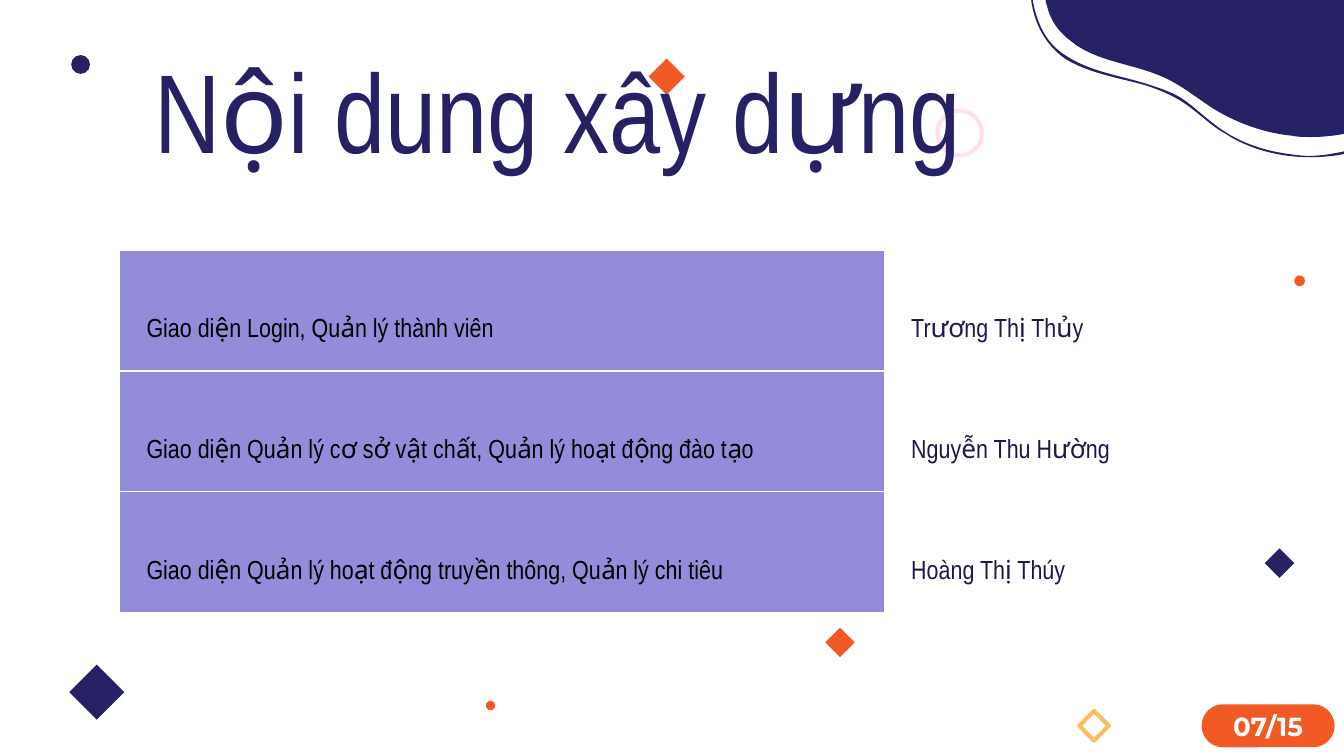
from dataclasses import dataclass
from typing import NamedTuple

from lxml import etree
from pptx import Presentation
from pptx.dml.color import RGBColor
from pptx.enum.lang import MSO_LANGUAGE_ID
from pptx.enum.shapes import MSO_SHAPE
from pptx.enum.text import MSO_ANCHOR, PP_ALIGN
from pptx.oxml.ns import qn
from pptx.util import Inches, Pt


@dataclass(frozen=True)
class Theme:
    navy: str = "262065"
    orange: str = "F15A24"
    amber: str = "FFBC5E"
    pink: str = "FFE1ED"
    lilac: str = "938CDB"
    white: str = "FFFFFF"
    black: str = "000000"
    ink: str = "1D184C"
    body_font: str = "Arial Narrow"
    badge_font: str = "Montserrat"
    title_size: int = 60
    body_size: int = 14
    body_leading: int = 35
    outline: float = 2.25
    rule: float = 0.75


class Box(NamedTuple):
    left: float
    top: float
    width: float
    height: float

    def emu(self):
        return [Inches(length) for length in self]


THEME = Theme()
PAGE = Box(0, 0, 10, 10 * 9 / 16)
CORNER = Box(7.67, -0.02, 2.36, 1.19)
TITLE = Box(0.52, -0.24, 6.73, 2.1)
TASK_TABLE = Box(0.89, 1.86, 8.23, 2.7)
BADGE = Box(8.94, 5.24, 0.99, 0.32)

TASK_COLUMNS = (5.69, 2.54)
CELL_INSET = 0.2
TITLE_INSET = 0.1
TASKS = [
    ("Giao diện Login, Quản lý thành viên", "Trương Thị Thủy"),
    ("Giao diện Quản lý cơ sở vật chất, Quản lý hoạt động đào tạo", "Nguyễn Thu Hường"),
    ("Giao diện Quản lý hoạt động truyền thông, Quản lý chi tiêu", "Hoàng Thị Thúy"),
]

# Form, centre in inches from the page corner, size, colour, filled or outlined
DIAMOND, DOT = MSO_SHAPE.DIAMOND, MSO_SHAPE.OVAL
CONFETTI = [
    (DOT, 3.65, 5.25, 0.07, THEME.orange, True),
    (DIAMOND, 4.96, 0.57, 0.27, THEME.orange, True),
    (DIAMOND, 8.14, 5.4, 0.22, THEME.amber, False),
    (DOT, 9.67, 2.09, 0.08, THEME.orange, True),
    (DIAMOND, 0.72, 5.15, 0.41, THEME.navy, True),
    (DIAMOND, 6.25, 4.78, 0.22, THEME.orange, True),
    (DOT, 0.6, 0.48, 0.14, THEME.navy, True),
    (DOT, 7.14, 0.99, 0.33, THEME.pink, False),
    (DIAMOND, 9.52, 4.19, 0.22, THEME.navy, True),
]

# Bezier chains in inches from the corner box: a start, then three points a curve
BLOB_EDGE = [
    (2.36, 1.01), (2.27, 1.03), (2.18, 1.04), (2.08, 1.04), (2.03, 1.04), (1.99, 1.04),
    (1.94, 1.03), (1.74, 1.01), (1.54, 0.94), (1.36, 0.83), (1.25, 0.76), (1.14, 0.67),
    (1.02, 0.61), (0.78, 0.49), (0.49, 0.49), (0.29, 0.32), (0.2, 0.25), (0.14, 0.16),
    (0.12, 0.06), (0.11, 0.04), (0.11, 0.02), (0.11, 0),
]
WAVE_INNER = [
    (0.01, 0), (0.04, 0.17), (0.1, 0.34), (0.27, 0.44), (0.44, 0.55), (0.65, 0.58),
    (0.85, 0.64), (0.94, 0.67), (1.04, 0.7), (1.12, 0.75), (1.21, 0.81), (1.28, 0.88),
    (1.36, 0.94), (1.51, 1.06), (1.69, 1.13), (1.88, 1.16), (1.95, 1.17), (2.01, 1.18),
    (2.07, 1.18), (2.17, 1.18), (2.27, 1.16), (2.36, 1.14),
]
WAVE_OUTER = [
    (2.36, 1.16), (2.27, 1.18), (2.17, 1.19), (2.08, 1.19), (1.85, 1.19), (1.62, 1.13),
    (1.44, 1.01), (1.35, 0.96), (1.28, 0.89), (1.2, 0.83), (1.1, 0.75), (0.99, 0.7),
    (0.87, 0.66), (0.67, 0.6), (0.44, 0.57), (0.26, 0.46), (0.1, 0.35), (0.02, 0.18), (0, 0),
]


def rgb(colour):
    return RGBColor.from_string(colour)


def paint(shape, colour, filled=True):
    shape.shadow.inherit = False
    if filled:
        shape.fill.solid()
        shape.fill.fore_color.rgb = rgb(colour)
        shape.line.fill.background()
    else:
        shape.fill.background()
        shape.line.color.rgb = rgb(colour)
        shape.line.width = Pt(THEME.outline)


def set_format(target, **values):
    for key, value in values.items():
        setattr(target, key, value)


def set_inset(target, inset):
    """Centre text vertically with the same margin on every side."""
    sides = {f"margin_{side}": Inches(inset) for side in ("left", "top", "right", "bottom")}
    set_format(target, vertical_anchor=MSO_ANCHOR.MIDDLE, **sides)


def write(frame, text, colour, align=PP_ALIGN.LEFT, leading=None, **font):
    """Set one paragraph; font holds size, name and bold."""
    paragraph = frame.paragraphs[0]
    set_format(paragraph, alignment=align, line_spacing=leading)
    run = paragraph.add_run()
    run.text = text
    run.font.color.rgb = rgb(colour)
    set_format(run.font, language_id=MSO_LANGUAGE_ID.VIETNAMESE, **font)


def sample(chain, steps=12):
    """Turn a Bezier chain into points along it."""
    points = [chain[0]]
    for i in range(0, len(chain) - 1, 3):
        for step in range(1, steps + 1):
            t = step / steps
            weights = ((1 - t) ** 3, 3 * t * (1 - t) ** 2, 3 * t * t * (1 - t), t ** 3)
            points.append(tuple(
                sum(w * p[axis] for w, p in zip(weights, chain[i:i + 4])) for axis in (0, 1)))
    return points


def add_confetti(slide, box):
    for form, x, y, size, colour, filled in CONFETTI:
        place = Box(box.left + x - size / 2, box.top + y - size / 2, size, size)
        paint(slide.shapes.add_shape(form, *place.emu()), colour, filled)


def add_corner_wave(slide, box):
    blob = [(box.width, 0)] + sample(BLOB_EDGE)
    wave = sample(WAVE_INNER) + sample(WAVE_OUTER)
    for outline in (blob, wave):
        points = [(Inches(box.left + x), Inches(box.top + y)) for x, y in outline]
        builder = slide.shapes.build_freeform(*points[0])
        builder.add_line_segments(points[1:], close=True)
        paint(builder.convert_to_shape(), THEME.navy)


def add_badge(slide, box, text):
    badge = slide.shapes.add_shape(MSO_SHAPE.ROUNDED_RECTANGLE, *box.emu())
    badge.adjustments[0] = 0.5
    paint(badge, THEME.orange)
    badge.text_frame.vertical_anchor = MSO_ANCHOR.MIDDLE
    write(badge.text_frame, text, THEME.white, PP_ALIGN.CENTER,
          size=Pt(THEME.body_size), name=THEME.badge_font, bold=True)


def add_title(slide, box, text):
    frame = slide.shapes.add_textbox(*box.emu()).text_frame
    frame.word_wrap = True
    set_inset(frame, TITLE_INSET)
    write(frame, text, THEME.navy, PP_ALIGN.RIGHT,
          size=Pt(THEME.title_size), name=THEME.body_font)


def add_borders(cell):
    properties = cell._tc.get_or_add_tcPr()
    for side in ("a:lnL", "a:lnR", "a:lnT", "a:lnB"):
        line = etree.SubElement(properties, qn(side), w=str(Pt(THEME.rule)))
        fill = etree.SubElement(line, qn("a:solidFill"))
        etree.SubElement(fill, qn("a:srgbClr"), val=THEME.white)


def add_task_table(slide, box, tasks):
    table = slide.shapes.add_table(len(tasks), len(TASK_COLUMNS), *box.emu()).table
    set_format(table, first_row=False, horz_banding=False)
    for column, width in zip(table.columns, TASK_COLUMNS):
        column.width = Inches(box.width * width / sum(TASK_COLUMNS))
    for row, task in zip(table.rows, tasks):
        row.height = Inches(box.height / len(tasks))
        for cell, text, colour, fill in zip(
                row.cells, task, (THEME.black, THEME.ink), (THEME.lilac, None)):
            set_inset(cell, CELL_INSET)
            add_borders(cell)
            if fill:
                cell.fill.solid()
                cell.fill.fore_color.rgb = rgb(fill)
            else:
                cell.fill.background()
            write(cell.text_frame, text, colour, leading=Pt(THEME.body_leading),
                  size=Pt(THEME.body_size), name=THEME.body_font)


def main():
    deck = Presentation()
    set_format(deck, slide_width=Inches(PAGE.width), slide_height=Inches(PAGE.height))
    slide = deck.slides.add_slide(deck.slide_layouts[6])
    add_confetti(slide, PAGE)
    add_corner_wave(slide, CORNER)
    add_badge(slide, BADGE, "07/15")
    add_title(slide, TITLE, "Nội dung xây dựng")
    add_task_table(slide, TASK_TABLE, TASKS)
    deck.save("out.pptx")


if __name__ == "__main__":
    main()
